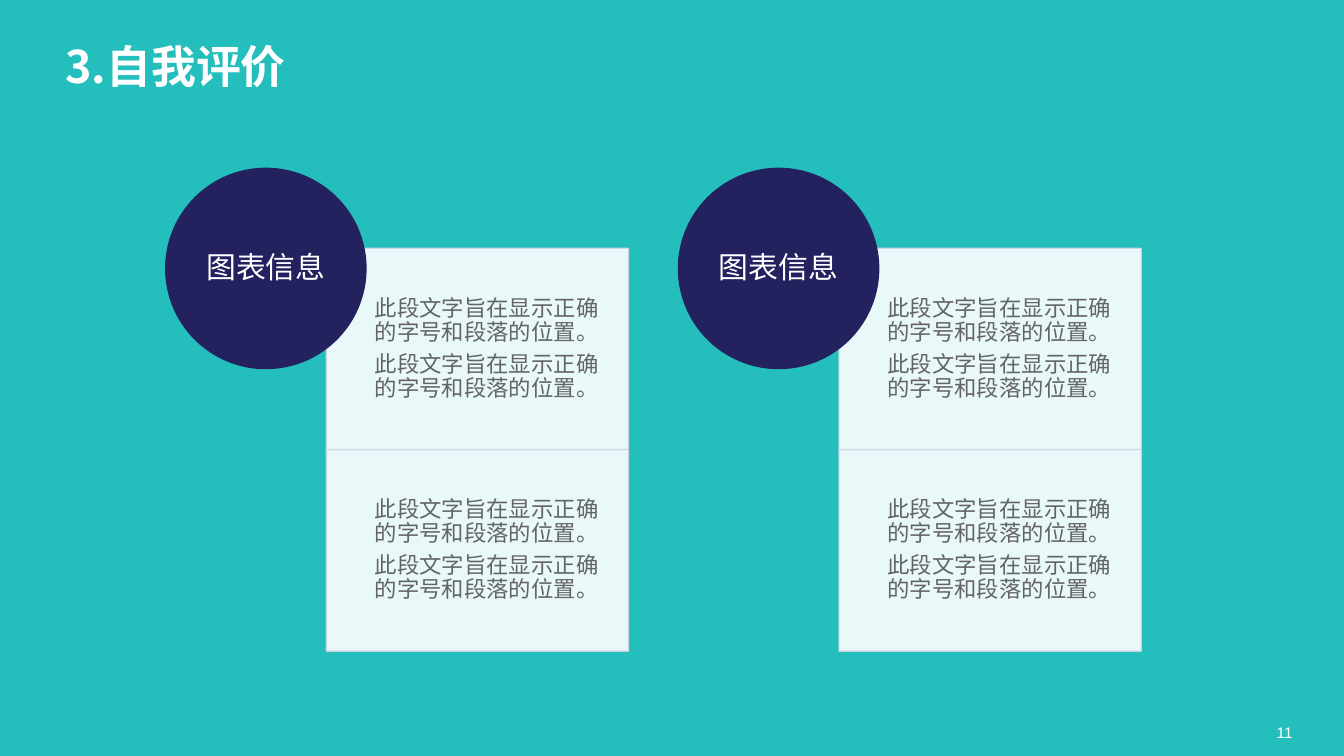
import pptx
import pptx.dml.color
import pptx.enum.shapes
import pptx.enum.text
import pptx.oxml.ns
import pptx.util
from lxml import etree

Cm = pptx.util.Cm
Pt = pptx.util.Pt
RGBColor = pptx.dml.color.RGBColor
SHAPES = pptx.enum.shapes.MSO_SHAPE
ALIGN = pptx.enum.text.PP_ALIGN
ANCHOR = pptx.enum.text.MSO_ANCHOR

TEAL = RGBColor(0x24, 0xBE, 0xBC)
NAVY = RGBColor(0x24, 0x21, 0x5F)
WHITE = RGBColor(0xFF, 0xFF, 0xFF)
GREY = RGBColor(0x64, 0x64, 0x64)
PALE_BLUE = RGBColor(0xD0, 0xD8, 0xE8)

CJK_FONT = "Noto Sans CJK SC"
BODY = "此段文字旨在显示正确的字号和段落的位置。"


def set_alpha(color_format_parent, percent):
    """Give the solid colour below an element its opacity."""
    for color in color_format_parent.iter(pptx.oxml.ns.qn("a:srgbClr")):
        alpha = etree.SubElement(color, pptx.oxml.ns.qn("a:alpha"))
        alpha.set("val", str(percent * 1000))


def write(shape, text, size, color, font=CJK_FONT, bold=False, align=ALIGN.LEFT,
          anchor=ANCHOR.MIDDLE, insets=(0, 0, 0, 0), line=None, after=None):
    frame = shape.text_frame
    frame.word_wrap = True
    frame.vertical_anchor = anchor
    (frame.margin_left, frame.margin_top,
     frame.margin_right, frame.margin_bottom) = (Cm(inset) for inset in insets)
    frame.text = text
    for paragraph in frame.paragraphs:
        paragraph.alignment = align
        paragraph.line_spacing = line
        paragraph.space_after = after
        for run in paragraph.runs:
            run.font.name = font
            run.font.size = Pt(size)
            run.font.bold = bold
            run.font.color.rgb = color
            east_asian = etree.SubElement(run.font._element, pptx.oxml.ns.qn("a:ea"))
            east_asian.set("typeface", font)


def add_title(slide, left, top, width, height):
    title = slide.shapes.add_textbox(Cm(left), Cm(top), Cm(width), Cm(height))
    write(title, "3.自我评价", 24, WHITE, bold=True, anchor=ANCHOR.TOP)


def add_page_number(slide, left, top, width, height):
    number = slide.shapes.add_textbox(Cm(left), Cm(top), Cm(width), Cm(height))
    write(number, "11", 8.2, WHITE, font="Arial")


def add_info_column(slide, left, top, width, height, heading, panels):
    """Stacked panels at the lower right, overlapped by a heading circle."""
    diameter = 3.81
    panel_left, panel_top = left + 0.8 * diameter, top + 0.4 * diameter
    panel_width = left + width - panel_left
    panel_height = (top + height - panel_top) / len(panels)

    # Text panels
    for row, paragraphs in enumerate(panels):
        panel = slide.shapes.add_shape(
            SHAPES.RECTANGLE, Cm(panel_left), Cm(panel_top + row * panel_height),
            Cm(panel_width), Cm(panel_height))
        panel.shadow.inherit = False
        panel.fill.solid()
        panel.fill.fore_color.rgb = WHITE
        panel.line.color.rgb = PALE_BLUE
        panel.line.width = Pt(0.75)
        set_alpha(panel._element.spPr, 90)
        write(panel, "\n".join(paragraphs), 12, GREY, line=0.9, after=Pt(4.2),
              insets=(0.16 * panel_width, 0.23, 0.23, 0.23))

    # Heading circle
    circle = slide.shapes.add_shape(
        SHAPES.OVAL, Cm(left), Cm(top), Cm(diameter), Cm(diameter))
    circle.shadow.inherit = False
    circle.fill.solid()
    circle.fill.fore_color.rgb = NAVY
    circle.line.fill.background()
    write(circle, heading, 16, WHITE, align=ALIGN.CENTER, line=0.9, after=Pt(5.6))


def main():
    deck = pptx.Presentation()
    deck.slide_width, deck.slide_height = Cm(25.4), Cm(14.29)
    slide = deck.slides.add_slide(deck.slide_layouts[6])
    slide.background.fill.solid()
    slide.background.fill.fore_color.rgb = TEAL

    add_page_number(slide, 24.13, 13.67, 1.27, 0.36)
    for column in range(2):
        add_info_column(slide, 3.12 + column * 9.69, 3.17, 8.76, 9.14,
                        "图表信息", [[BODY, BODY], [BODY, BODY]])
    add_title(slide, 1.24, 0.74, 23.34, 1.63)

    deck.save("out.pptx")


if __name__ == "__main__":
    main()
